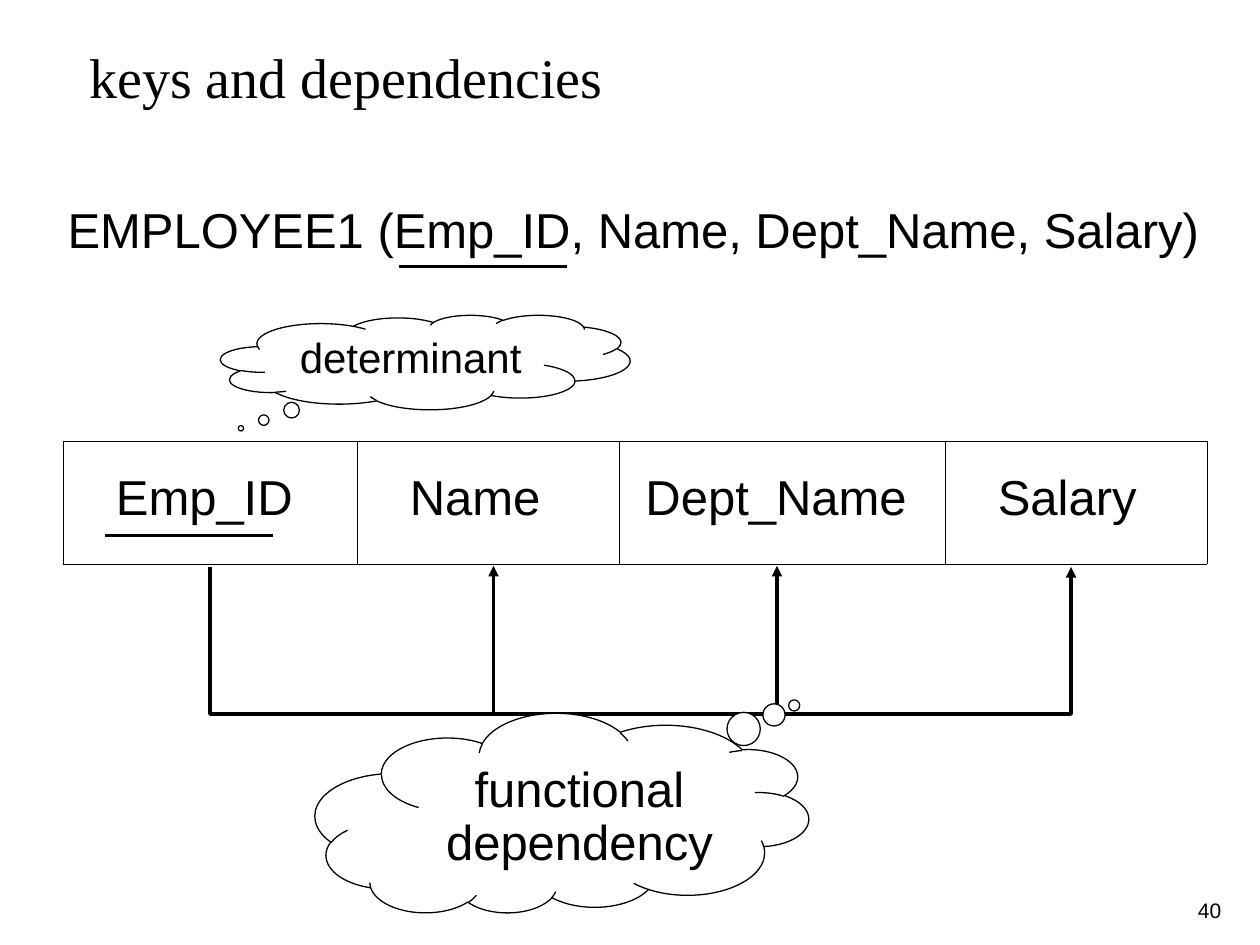
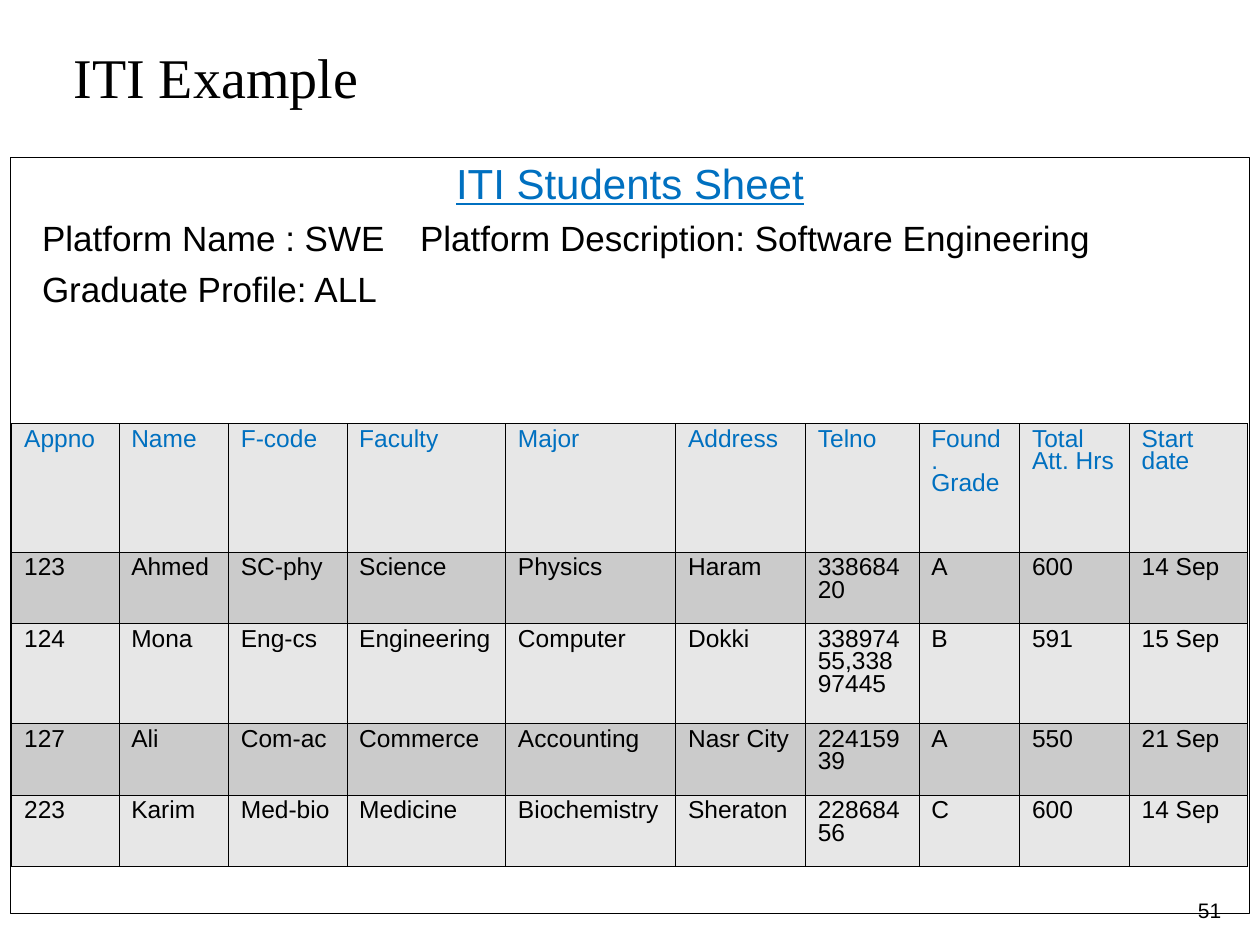
import lxml.etree
import pptx
import pptx.dml.color
import pptx.enum.shapes
import pptx.enum.text
import pptx.oxml.ns
import pptx.util

COLS, ROWS = 120, 90
UNIT = pptx.util.Inches(10) // COLS
INK = {"text": "000000", "page": "FFFFFF", "head": "0070C0", "light": "E7E7E7", "dark": "CBCBCB"}
SHAPE = pptx.enum.shapes.MSO_SHAPE
ALIGN = pptx.enum.text.PP_ALIGN
ANCHOR = pptx.enum.text.MSO_ANCHOR
qn = pptx.oxml.ns.qn

TITLE = (7, 4, 99.5, 12.4)
NUMBER = (112.2, 85.2, 6, 3.4)
FIELDS = [("Emp_ID", 28, 3.84), ("Name", 25, 3.84), ("Dept_Name", 31, 1.28), ("Salary", 25, 3.84)]
WIDTHS = [10.2, 10.44, 11.28, 15.12, 16.2, 12.36, 10.8, 9.6, 10.44, 11.28]
HEIGHTS = [12.24, 6.84, 9.48, 6.84, 6.84]
STAFF = [
    ["Appno", "Name", "F-code", "Faculty", "Major", "Address", "Telno",
     "Found.\nGrade", "Total\nAtt. Hrs", "Start date"],
    ["123", "Ahmed", "SC-phy", "Science", "Physics", "Haram", "33868420", "A", "600", "14 Sep"],
    ["124", "Mona", "Eng-cs", "Engineering", "Computer", "Dokki", "33897455,33897445", "B", "591", "15 Sep"],
    ["127", "Ali", "Com-ac", "Commerce", "Accounting", "Nasr City", "22415939", "A", "550", "21 Sep"],
    ["223", "Karim", "Med-bio", "Medicine", "Biochemistry", "Sheraton", "22868456", "C", "600", "14 Sep"],
]


def span(*cells):
    return [pptx.util.Emu(round(cell * UNIT)) for cell in cells]


def tint(name):
    return pptx.dml.color.RGBColor.from_string(INK[name])


def write(frame, text, size=28, color="text", font="Arial", align=ALIGN.LEFT,
          lead=None, gap=None, left=0, tab=None, under=False):
    for part in text.split("\n"):
        para = frame.add_paragraph() if frame.text else frame.paragraphs[0]
        props = para._p.get_or_add_pPr()
        if left:
            props.set("marL", str(round(left * UNIT)))
            props.set("indent", "0")
        if tab:
            stops = lxml.etree.SubElement(props, qn("a:tabLst"))
            lxml.etree.SubElement(stops, qn("a:tab"), pos=str(round(tab * UNIT)), algn="l")
        para.alignment = align
        if lead:
            para.line_spacing = lead
        if gap:
            para.space_before = pptx.util.Pt(gap)
        run = para.add_run()
        run.text = part
        run.font.name = font
        run.font.size = pptx.util.Pt(size)
        run.font.underline = under
        run.font.color.rgb = tint(color)


def label(slide, box, text, pad=True, wrap=True, **style):
    frame = slide.shapes.add_textbox(*span(*box)).text_frame
    frame.word_wrap = wrap
    if not pad:
        strip(frame)
    write(frame, text, **style)


def strip(frame):
    frame.margin_left = frame.margin_top = frame.margin_right = frame.margin_bottom = 0


def stroke(shape, width, arrow=False):
    shape.line.color.rgb = tint("text")
    shape.line.width = pptx.util.Pt(width)
    props = shape.element.spPr
    if arrow:
        lxml.etree.SubElement(props.find(qn("a:ln")), qn("a:tailEnd"), type="triangle")
    if props.find(qn("a:effectLst")) is None:
        lxml.etree.SubElement(props, qn("a:effectLst"))


def rule(slide, start, end, arrow=False):
    kind = pptx.enum.shapes.MSO_CONNECTOR.STRAIGHT
    stroke(slide.shapes.add_connector(kind, *span(*start, *end)), 2, arrow)


def cloud(slide, box, text, size, tail, turn=0):
    shape = slide.shapes.add_shape(SHAPE.CLOUD_CALLOUT, *span(*box))
    shape.shadow.inherit = False
    shape.adjustments[0], shape.adjustments[1] = tail
    shape.rotation = turn
    shape.fill.solid()
    shape.fill.fore_color.rgb = tint("page")
    stroke(shape, 0.75)
    frame = shape.text_frame
    frame.word_wrap = True
    frame.vertical_anchor = ANCHOR.MIDDLE
    shape.element.find(".//" + qn("a:bodyPr")).set("rot", str(turn * 60000))
    write(frame, text, size=size, align=ALIGN.CENTER, lead=0.9)


def edge(cell):
    props = cell._tc.get_or_add_tcPr()
    for spot, side in enumerate(("a:lnL", "a:lnR", "a:lnT", "a:lnB")):
        line = lxml.etree.Element(qn(side), w=str(pptx.util.Pt(0.1)))
        fill = lxml.etree.SubElement(line, qn("a:solidFill"))
        lxml.etree.SubElement(fill, qn("a:srgbClr"), val=INK["text"])
        props.insert(spot, line)


def table(slide, x, y, widths, heights):
    box = span(x, y, sum(widths), sum(heights))
    grid = slide.shapes.add_table(len(heights), len(widths), *box).table
    grid.first_row = grid.horz_banding = False
    for col, width in zip(grid.columns, span(*widths)):
        col.width = width
    for row, height in zip(grid.rows, span(*heights)):
        row.height = height
    for cell in grid.iter_cells():
        cell.fill.background()
        edge(cell)
    return grid


def page(deck, title, number, shift=0):
    slide = deck.slides.add_slide(deck.slide_layouts[6])
    x, y, w, h = TITLE
    label(slide, (x + shift, y, w, h), title, pad=False, size=32, font="Times New Roman")
    label(slide, NUMBER, number, size=12, align=ALIGN.CENTER, lead=0.9)
    return slide


def schema(slide, box):
    x, y, w, h = box
    label(slide, box, "EMPLOYEE1 (Emp_ID, Name, Dept_Name, Salary)",
          wrap=False, align=ALIGN.CENTER, lead=0.9)
    rule(slide, (x + 32.8, y + h + 0.2), (x + 48.8, y + h + 0.2))


def fields(slide, box):
    x, y, w, h = box
    grid = table(slide, x, y, [width for _, width, _ in FIELDS], [h])
    for cell, (name, _, left) in zip(grid.iter_cells(), FIELDS):
        cell.vertical_anchor = ANCHOR.MIDDLE
        write(cell.text_frame, name, lead=0.81, left=left)
    rule(slide, (x + 4, y + 9), (x + 20, y + 9))


def links(slide, box):
    x, y, w, h = box
    right, base = x + w, y + h
    pen = slide.shapes.build_freeform(x, y, scale=UNIT)
    pen.add_line_segments([(x, base), (right, base), (right, y)], close=False)
    path = pen.convert_to_shape()
    path.shadow.inherit = False
    path.fill.background()
    stroke(path, 2, arrow=True)
    for step in (27, 54):
        rule(slide, (x + step, base), (x + step, y - 0.1), arrow=True)


def sheet(slide, box):
    x, y, w, h = box
    panel = slide.shapes.add_shape(SHAPE.RECTANGLE, *span(*box))
    panel.shadow.inherit = False
    panel.fill.background()
    stroke(panel, 0.75)
    frame = panel.text_frame
    frame.word_wrap = True
    frame.vertical_anchor = ANCHOR.TOP
    strip(frame)
    write(frame, "ITI Students Sheet", size=24, color="head", align=ALIGN.CENTER, under=True)
    write(frame, "Platform Name : SWE\tPlatform Description: Software Engineering",
          size=20, gap=5, left=3, tab=39.93)
    write(frame, "Graduate Profile: ALL", size=20, gap=5, left=3)
    grid = table(slide, x + 0.1, y + 25.3, WIDTHS, HEIGHTS)
    for r, row in enumerate(STAFF):
        for c, text in enumerate(row):
            cell = grid.cell(r, c)
            cell.fill.solid()
            cell.fill.fore_color.rgb = tint("dark" if r % 2 else "light")
            write(cell.text_frame, text, size=14, color="text" if r else "head", lead=0.81)


def main():
    deck = pptx.Presentation()
    deck.slide_width, deck.slide_height = span(COLS, ROWS)

    keys = page(deck, "keys and dependencies", "40", shift=1.5)
    schema(keys, (5.2, 19, 110.2, 6.2))
    fields(keys, (6, 42, 109, 11.75))
    links(keys, (20, 54, 82, 14))
    cloud(keys, (30, 68, 47, 19), "functional dependency", 28, (-0.471, 0.543), turn=180)
    cloud(keys, (21, 30, 39, 9), "determinant", 24, (-0.45, 0.699))

    sheet(page(deck, "ITI Example", "51"), (1, 15, 118, 72))
    deck.save("out.pptx")


if __name__ == "__main__":
    main()
